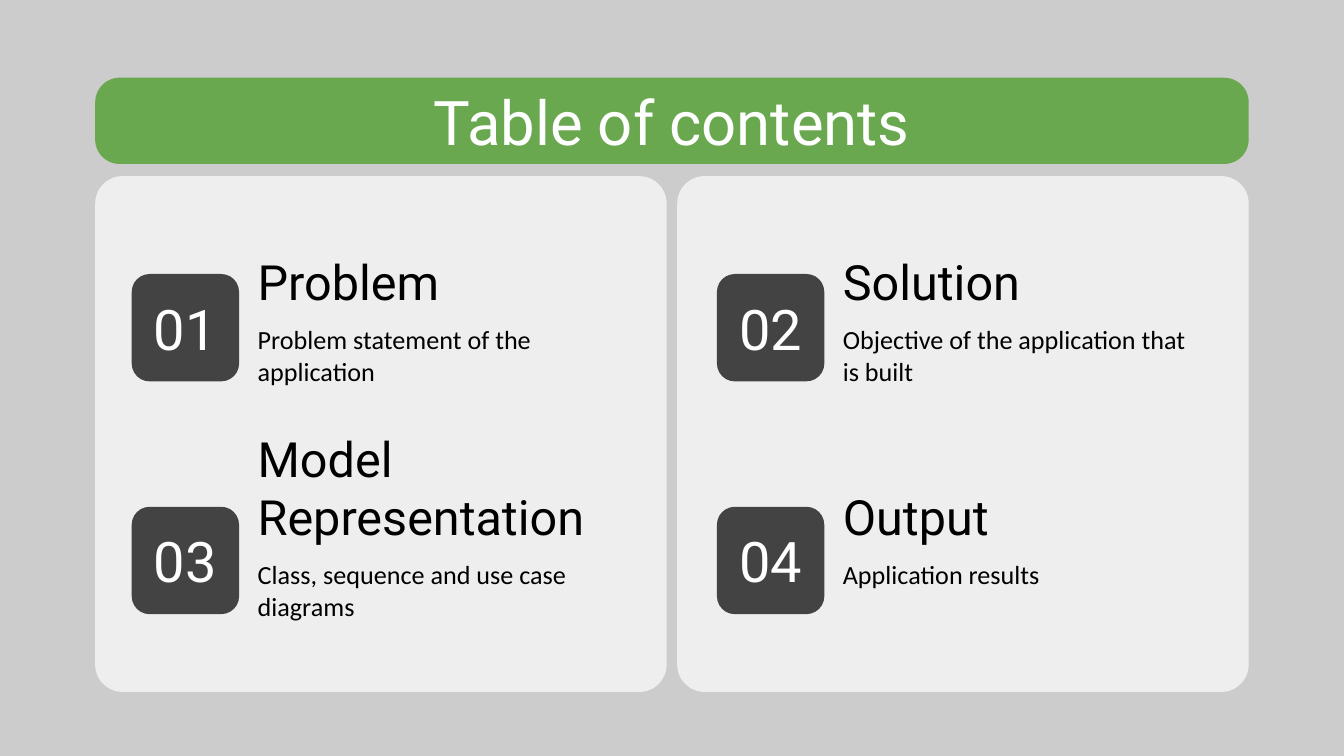
from pptx import Presentation
from pptx.dml.color import RGBColor
from pptx.enum.shapes import MSO_SHAPE
from pptx.enum.text import MSO_ANCHOR, PP_ALIGN
from pptx.util import Cm, Pt

ROUNDED = MSO_SHAPE.ROUNDED_RECTANGLE
TOP, MIDDLE, BOTTOM = MSO_ANCHOR.TOP, MSO_ANCHOR.MIDDLE, MSO_ANCHOR.BOTTOM
LEFT, CENTER = PP_ALIGN.LEFT, PP_ALIGN.CENTER

TITLE = "Table of contents"
SECTIONS = [
    ("01", "Problem", "Problem statement of the application"),
    ("02", "Solution", "Objective of the application that is built"),
    ("03", "Model Representation", "Class, sequence and use case diagrams"),
    ("04", "Output", "Application results"),
]

COLORS = {
    "background": "CCCCCC",
    "banner": "6AA84F",
    "card": "EEEEEE",
    "tile": "434343",
    "dark": "000000",
    "light": "FFFFFF",
}
FORMATS = {
    "title": {"name": "Roboto", "size": Pt(33), "color": "light", "align": CENTER, "anchor": MIDDLE},
    "number": {"name": "Roboto", "size": Pt(30), "color": "light", "align": CENTER, "anchor": MIDDLE},
    "heading": {"name": "Roboto", "size": Pt(26), "color": "dark", "align": LEFT, "anchor": BOTTOM},
    "body": {"name": "Calibri", "size": Pt(14), "color": "dark", "align": LEFT, "anchor": TOP},
}

# All lengths below are centimetres.
MARGIN = 1.8
BANNER_TOP, BANNER_WIDTH, BANNER_HEIGHT = 1.47, 21.8, 1.63
TITLE_WIDTH, TITLE_HEIGHT = 18.47, 1.35
CARD_TOP, CARD_WIDTH, CARD_HEIGHT, CARD_GAP = 3.33, 10.8, 9.75, 0.2
COLUMNS = 2
TILE_LEFT, TILE_SIZE, COLUMN_STEP = 2.49, 2.03, 11.06
TILE_TOP, TILE_STEP = 5.18, 4.4
NUMBER_HEIGHT = 0.96
TEXT_OFFSET, TEXT_WIDTH = 2.13, 7.24
HEADING_TOP, HEADING_HEIGHT, TEXT_STEP = 4.65, 1.47, 4.44
BODY_OFFSET, BODY_HEIGHT = 1.22, 1.42
INSET = 0.25


def rgb(name):
    return RGBColor.from_string(COLORS[name])


def add_panel(slide, left, top, width, height, color, rounding):
    shape = slide.shapes.add_shape(ROUNDED, Cm(left), Cm(top), Cm(width), Cm(height))
    shape.adjustments[0] = rounding
    shape.shadow.inherit = False
    shape.fill.solid()
    shape.fill.fore_color.rgb = rgb(color)
    shape.line.fill.background()


def add_text(slide, text, left, top, width, height, style):
    box = slide.shapes.add_textbox(Cm(left), Cm(top), Cm(width), Cm(height))
    style = FORMATS[style]
    frame = box.text_frame
    frame.word_wrap = True
    frame.vertical_anchor = style["anchor"]
    for side in ("left", "top", "right", "bottom"):
        setattr(frame, f"margin_{side}", Cm(INSET))
    paragraph = frame.paragraphs[0]
    paragraph.alignment = style["align"]
    run = paragraph.add_run()
    run.text = text
    for attribute in ("name", "size"):
        setattr(run.font, attribute, style[attribute])
    run.font.color.rgb = rgb(style["color"])


def add_section(slide, index, number, heading, body):
    row, column = divmod(index, COLUMNS)
    tile_left = TILE_LEFT + column * COLUMN_STEP
    tile_top = TILE_TOP + row * TILE_STEP
    text_left = tile_left + TEXT_OFFSET
    heading_top = HEADING_TOP + row * TEXT_STEP
    add_panel(slide, tile_left, tile_top, TILE_SIZE, TILE_SIZE, "tile", 0.167)
    number_top = tile_top + (TILE_SIZE - NUMBER_HEIGHT) / 2
    add_text(slide, number, tile_left, number_top, TILE_SIZE, NUMBER_HEIGHT, "number")
    add_text(slide, heading, text_left, heading_top, TEXT_WIDTH, HEADING_HEIGHT, "heading")
    add_text(slide, body, text_left, heading_top + BODY_OFFSET, TEXT_WIDTH, BODY_HEIGHT, "body")


def main():
    presentation = Presentation()
    presentation.slide_width, presentation.slide_height = Cm(25.4), Cm(14.29)
    slide = presentation.slides.add_slide(presentation.slide_layouts[6])
    slide.background.fill.solid()
    slide.background.fill.fore_color.rgb = rgb("background")

    add_panel(slide, MARGIN, BANNER_TOP, BANNER_WIDTH, BANNER_HEIGHT, "banner", 0.284)
    title_left = MARGIN + (BANNER_WIDTH - TITLE_WIDTH) / 2
    title_top = BANNER_TOP + (BANNER_HEIGHT - TITLE_HEIGHT) / 2
    add_text(slide, TITLE, title_left, title_top, TITLE_WIDTH, TITLE_HEIGHT, "title")

    for column in range(COLUMNS):
        card_left = MARGIN + column * (CARD_WIDTH + CARD_GAP)
        add_panel(slide, card_left, CARD_TOP, CARD_WIDTH, CARD_HEIGHT, "card", 0.053)
    for index, section in enumerate(SECTIONS):
        add_section(slide, index, *section)

    presentation.save("out.pptx")


if __name__ == "__main__":
    main()
